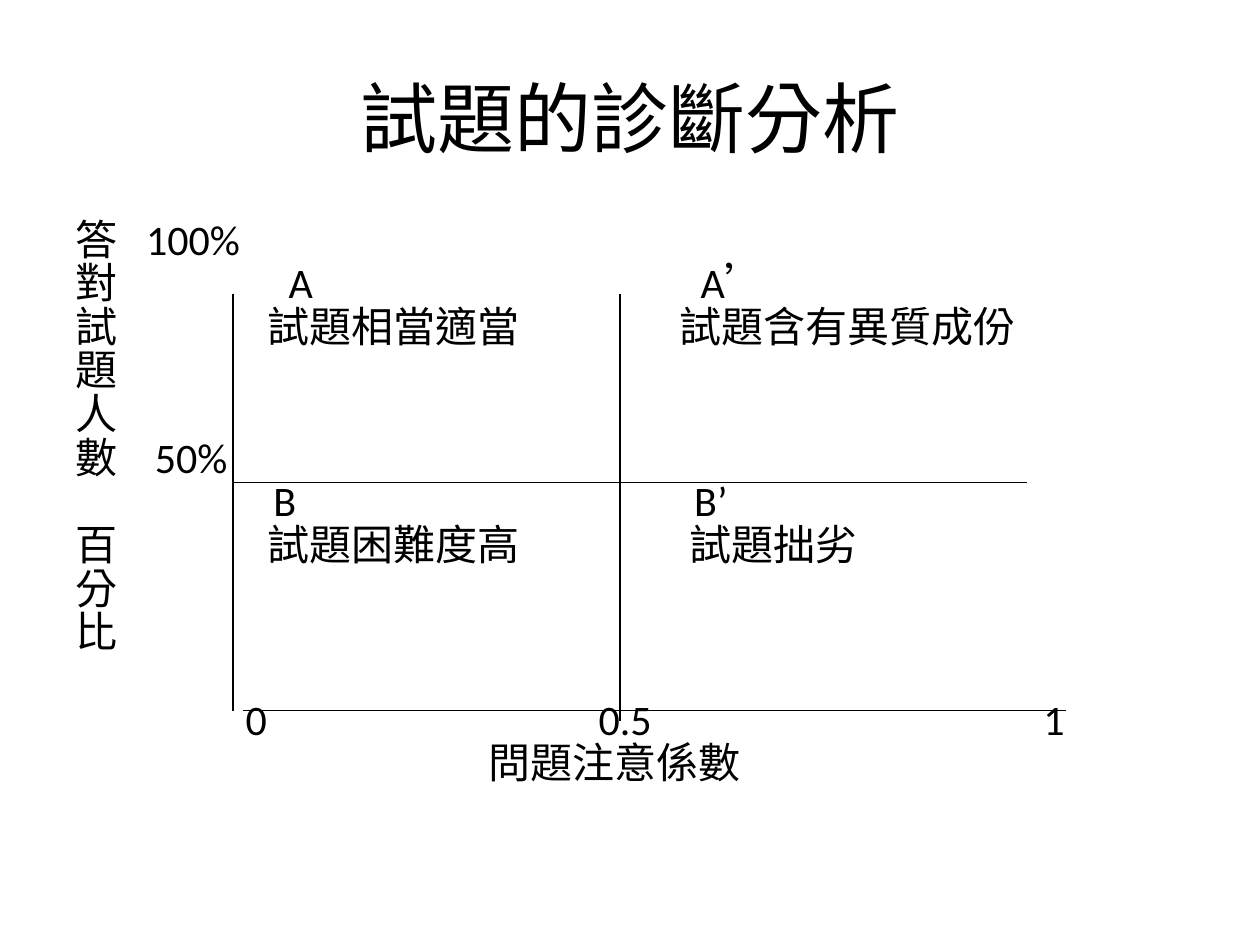
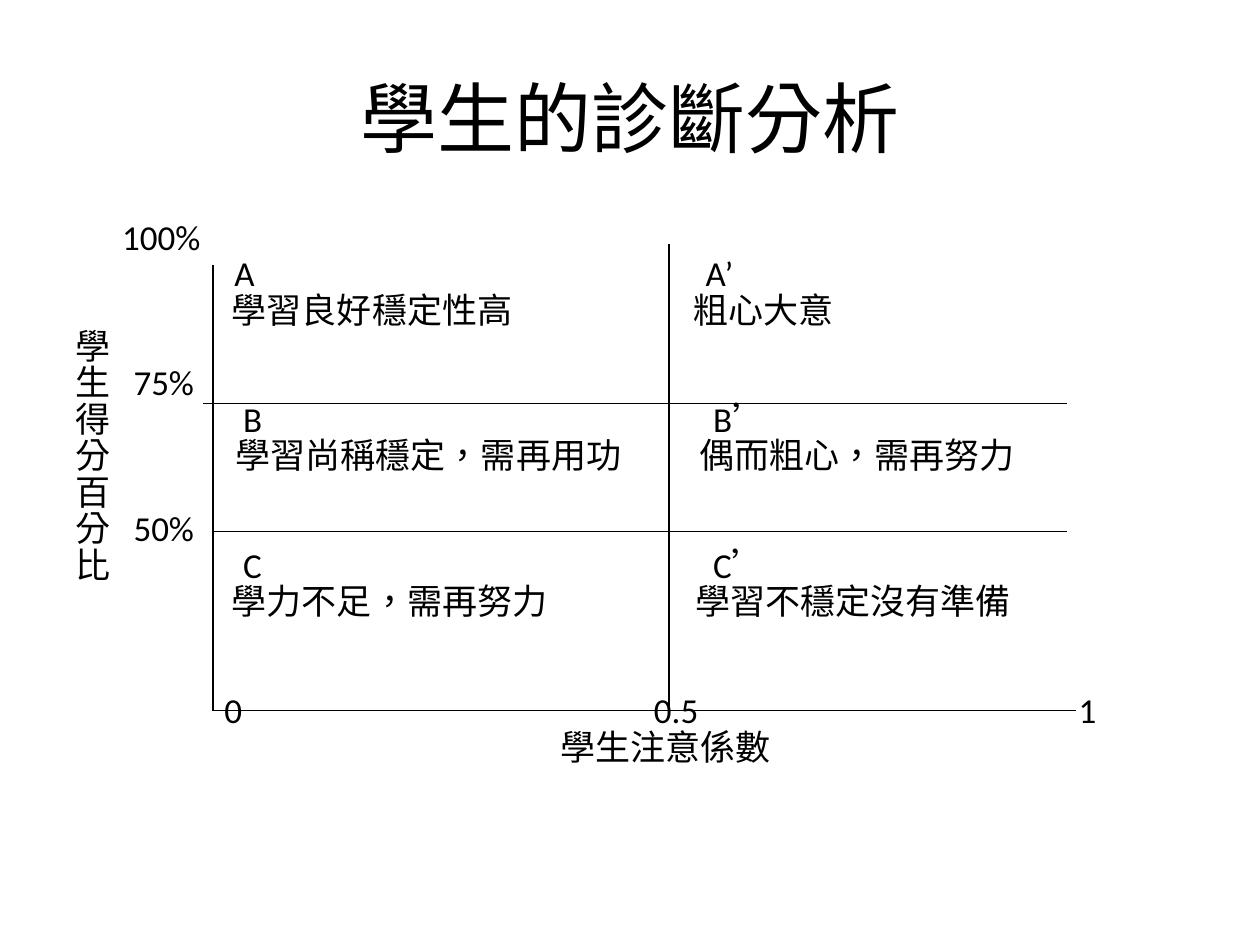
from lxml.etree import SubElement
from pptx import Presentation
from pptx.dml.color import RGBColor
from pptx.enum.shapes import MSO_CONNECTOR
from pptx.enum.text import MSO_ANCHOR, MSO_AUTO_SIZE, PP_ALIGN
from pptx.oxml.ns import qn
from pptx.util import Inches, Pt

# Shared style
BLACK = RGBColor(0x00, 0x00, 0x00)
WHITE = RGBColor(0xFF, 0xFF, 0xFF)
FONT = "Calibri"
LANGUAGE = "zh-TW"
WIDTH, HEIGHT = 10, 7.5
MARGIN = WIDTH * 0.05
TITLE_BOX = (MARGIN, HEIGHT * 0.04, WIDTH - 2 * MARGIN, 1.25)
BODY_BOX = (MARGIN, 1.75, WIDTH - 2 * MARGIN, HEIGHT * 0.66)
LINE_SPACING = 0.7
SPACE_BEFORE = 0.2  # share of the text size
LINE_PITCH = 1.04  # share of the text size

# Each row: vertical axis character, skipped lines above, (tab stop, text) pairs
ITEM_ROWS = [
    ("答", 0, [(0.56, "100%")]),
    ("對", 0, [(1.69, "A"), (4.96, "A’")]),
    ("試", 0, [(1.52, "試題相當適當"), (4.79, "試題含有異質成份")]),
    ("題", 0, []),
    ("人", 0, []),
    ("數", 0, [(0.63, "50%")]),
    ("", 0, [(1.57, "B"), (4.91, "B’")]),
    ("百", 0, [(1.52, "試題困難度高"), (4.87, "試題拙劣")]),
    ("分", 0, []),
    ("比", 0, []),
    ("", 1, [(1.35, "0"), (4.15, "0.5"), (7.68, "1")]),
    ("", 0, [(3.28, "問題注意係數")]),
]
STUDENT_ROWS = [
    ("", 0, [(0.37, "100%")]),
    ("", 0, [(1.26, "A"), (5.0, "A’")]),
    ("", 0, [(1.24, "學習良好穩定性高"), (4.9, "粗心大意")]),
    ("學", 0, []),
    ("生", 0, [(0.46, "75%")]),
    ("得", 0, [(1.33, "B"), (5.06, "B’")]),
    ("分", 0, [(1.27, "學習尚稱穩定，需再用功"), (4.95, "偶而粗心，需再努力")]),
    ("百", 0, []),
    ("分", 0, [(0.46, "50%")]),
    ("比", 0, [(1.33, "C"), (5.06, "C’")]),
    ("", 0, [(1.24, "學力不足，需再努力"), (4.92, "學習不穩定沒有準備")]),
    ("", 2, [(1.18, "0"), (4.59, "0.5"), (7.96, "1")]),
    ("", 0, [(3.85, "學生注意係數")]),
]

# Axes and quadrant borders: left, top, right, bottom
AXIS_BOTTOM = 5.64
ITEM_LINES = [
    (1.85, 2.33, 1.85, AXIS_BOTTOM),
    (1.93, AXIS_BOTTOM, 8.46, AXIS_BOTTOM),
    (1.85, 3.83, 8.15, 3.83),
    (4.92, 2.33, 4.92, 5.72),
]
STUDENT_LINES = [
    (1.69, 2.1, 1.69, AXIS_BOTTOM),
    (1.69, AXIS_BOTTOM, 8.54, AXIS_BOTTOM),
    (5.31, 1.94, 5.31, AXIS_BOTTOM),
    (1.61, 3.2, 8.47, 3.2),
    (1.69, 4.22, 8.47, 4.22),
]


def place(shape, box):
    shape.left, shape.top, shape.width, shape.height = map(Inches, box)


def write_text(paragraph, text, size, align=PP_ALIGN.LEFT, color=BLACK):
    paragraph.alignment = align
    run = paragraph.add_run()
    run.text = text
    run.font.size = Pt(size)
    run.font.name = FONT
    run.font.color.rgb = color
    run._r.get_or_add_rPr().set("lang", LANGUAGE)


def clear_body_indent(presentation):
    """A hanging indent in the master would override the rows' tab stops."""
    master = presentation.slide_master.element
    for level in master.iter(qn("a:lvl1pPr")):
        if level.getparent().tag == qn("p:bodyStyle"):
            level.set("marL", "0")
            level.attrib.pop("indent", None)


def set_tab_stops(paragraph, stops):
    """Drop the bullet, then set the column positions."""
    properties = paragraph._p.get_or_add_pPr()
    SubElement(properties, qn("a:buNone"))
    if stops:
        tab_list = SubElement(properties, qn("a:tabLst"))
        for stop in stops:
            SubElement(tab_list, qn("a:tab"), pos=str(Inches(stop)), algn="l")


def add_title(slide, text):
    title = slide.shapes.title
    place(title, TITLE_BOX)
    title.text_frame.vertical_anchor = MSO_ANCHOR.MIDDLE
    write_text(title.text_frame.paragraphs[0], text, size=44, align=PP_ALIGN.CENTER)


def add_rows(slide, rows, size):
    body = slide.placeholders[1]
    place(body, BODY_BOX)
    frame = body.text_frame
    frame.word_wrap = True
    frame.auto_size = MSO_AUTO_SIZE.NONE
    for index, (axis_character, skipped, cells) in enumerate(rows):
        paragraph = frame.add_paragraph() if index else frame.paragraphs[0]
        paragraph.line_spacing = LINE_SPACING
        paragraph.space_before = Pt(size * (SPACE_BEFORE + skipped * LINE_PITCH))
        set_tab_stops(paragraph, [stop for stop, _ in cells])
        text = "\t".join([axis_character] + [label for _, label in cells])
        write_text(paragraph, text, size=size)


def add_line(slide, left, top, right, bottom):
    line = slide.shapes.add_connector(
        MSO_CONNECTOR.STRAIGHT, *map(Inches, (left, top, right, bottom)))
    line.line.color.rgb = BLACK
    line.line.width = Pt(0.75)
    SubElement(line._element.spPr, qn("a:effectLst"))


def add_diagnosis_slide(presentation, title, rows, size, lines):
    slide = presentation.slides.add_slide(presentation.slide_layouts[1])
    slide.background.fill.solid()
    slide.background.fill.fore_color.rgb = WHITE
    add_title(slide, title)
    add_rows(slide, rows, size)
    for ends in lines:
        add_line(slide, *ends)


def main():
    presentation = Presentation()
    presentation.slide_width = Inches(WIDTH)
    presentation.slide_height = Inches(HEIGHT)
    clear_body_indent(presentation)
    add_diagnosis_slide(presentation, "試題的診斷分析", ITEM_ROWS, 24, ITEM_LINES)
    add_diagnosis_slide(presentation, "學生的診斷分析", STUDENT_ROWS, 20, STUDENT_LINES)
    presentation.save("out.pptx")


main()
